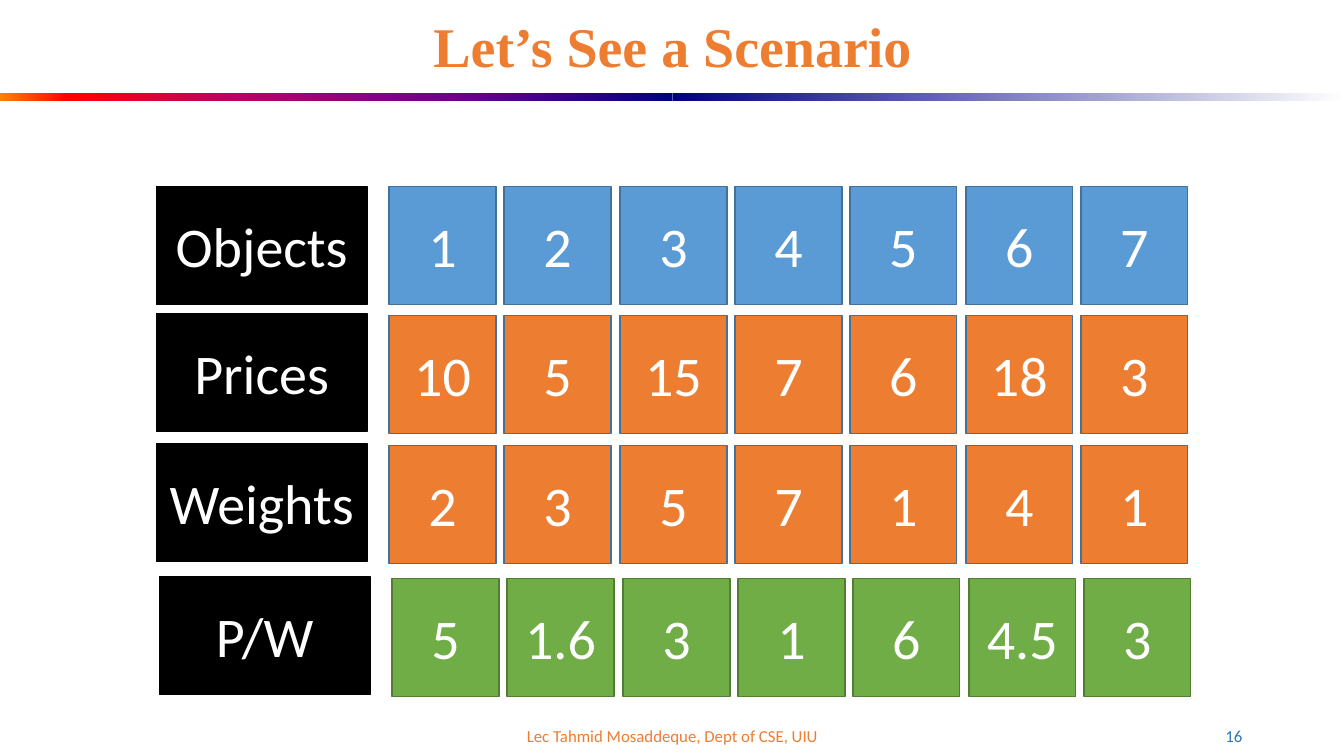
from copy import deepcopy

from pptx import Presentation
from pptx.dml.color import RGBColor
from pptx.enum.shapes import MSO_SHAPE
from pptx.enum.text import MSO_ANCHOR, MSO_AUTO_SIZE, PP_ALIGN
from pptx.oxml.ns import qn
from pptx.util import Pt

PX = 9144  # EMU per px, 100 px to the inch

WHITE = RGBColor(0xFF, 0xFF, 0xFF)
BLACK = RGBColor(0x00, 0x00, 0x00)
BLUE = RGBColor(0x5B, 0x9B, 0xD5)
BLUE_LINE = RGBColor(0x42, 0x71, 0x9B)
ORANGE = RGBColor(0xED, 0x7D, 0x31)
GREEN = RGBColor(0x70, 0xAD, 0x47)
GREEN_LINE = RGBColor(0x51, 0x7E, 0x33)
PAGE_BLUE = RGBColor(0x2E, 0x75, 0xB5)
AMBER = RGBColor(0xFF, 0x82, 0x00)
RED = RGBColor(0xFF, 0x00, 0x00)
MAGENTA = RGBColor(0xBA, 0x00, 0x66)
PURPLE = RGBColor(0x66, 0x00, 0x8F)
NAVY = RGBColor(0x00, 0x00, 0x82)


def write(shape, text, size, color, font="Calibri", align=PP_ALIGN.CENTER):
    frame = shape.text_frame
    frame.text = text
    frame.word_wrap = True
    frame.auto_size = MSO_AUTO_SIZE.NONE
    frame.vertical_anchor = MSO_ANCHOR.MIDDLE
    paragraph = frame.paragraphs[0]
    paragraph.alignment = align
    paragraph.font.name = font
    paragraph.font.size = Pt(size)
    paragraph.font.color.rgb = color
    return paragraph


def add_box(left, top, width, text, fill, line):
    box = slide.shapes.add_shape(
        MSO_SHAPE.RECTANGLE, left * PX, top * PX, width * PX, BOX_HEIGHT * PX)
    box.shadow.inherit = False
    box.fill.solid()
    box.fill.fore_color.rgb = fill
    box.line.color.rgb = line
    box.line.width = Pt(1)
    write(box, text, 40, WHITE)


presentation = Presentation()
presentation.slide_width = 1333 * PX
presentation.slide_height = 750 * PX
slide = presentation.slides.add_slide(presentation.slide_layouts[5])

# Title
title = slide.shapes.title
title.left, title.top, title.width, title.height = 92 * PX, 16 * PX, 1150 * PX, 66 * PX
paragraph = write(title, "Let’s See a Scenario", 40, ORANGE, "Times New Roman")
paragraph.font.bold = True
paragraph.line_spacing = 0.9

# Gradient rule under the title
RULE_HALVES = [
    (0, [(0, AMBER), (0.1, RED), (0.35, MAGENTA), (0.7, PURPLE), (1, NAVY)]),
    (667, [(0, NAVY), (1, WHITE)]),
]
for left, stops in RULE_HALVES:
    half = slide.shapes.add_shape(
        MSO_SHAPE.RECTANGLE, left * PX, 92 * PX, 667 * PX, 8 * PX)
    half.shadow.inherit = False
    half.line.fill.background()
    half.fill.gradient()
    half.fill.gradient_angle = 0
    stop_list = half.element.spPr.find(".//" + qn("a:gsLst"))
    for _ in stops[2:]:
        stop_list.append(deepcopy(stop_list[0]))
    for stop, (position, color) in zip(half.fill.gradient_stops, stops):
        stop.position = position
        stop.color.rgb = color

# Rows of labelled boxes
BOX_HEIGHT = 117
ROWS = [
    ("Objects", 155, 185, 185, BLUE, BLUE_LINE, "1 2 3 4 5 6 7"),
    ("Prices", 155, 311, 313, ORANGE, BLUE_LINE, "10 5 15 7 6 18 3"),
    ("Weights", 155, 440, 442, ORANGE, BLUE_LINE, "2 3 5 7 1 4 1"),
    ("P/W", 158, 572, 574, GREEN, GREEN_LINE, "5 1.6 3 1 6 4.5 3"),
]
for label, left, label_top, box_top, fill, line, values in ROWS:
    add_box(left, label_top, 209, label, BLACK, BLACK)
    for column, value in enumerate(values.split()):
        box_left = left + 231 + round(column * 114.3)
        add_box(box_left, box_top, 106, value, fill, line)

# Footer and page number
FOOTER = [
    (442, 450, "Lec Tahmid Mosaddeque, Dept of CSE, UIU", ORANGE, PP_ALIGN.CENTER),
    (942, 300, "16", PAGE_BLUE, PP_ALIGN.RIGHT),
]
for left, width, text, color, align in FOOTER:
    text_box = slide.shapes.add_textbox(left * PX, 710 * PX, width * PX, 40 * PX)
    write(text_box, text, 12, color, align=align)

presentation.save("out.pptx")
